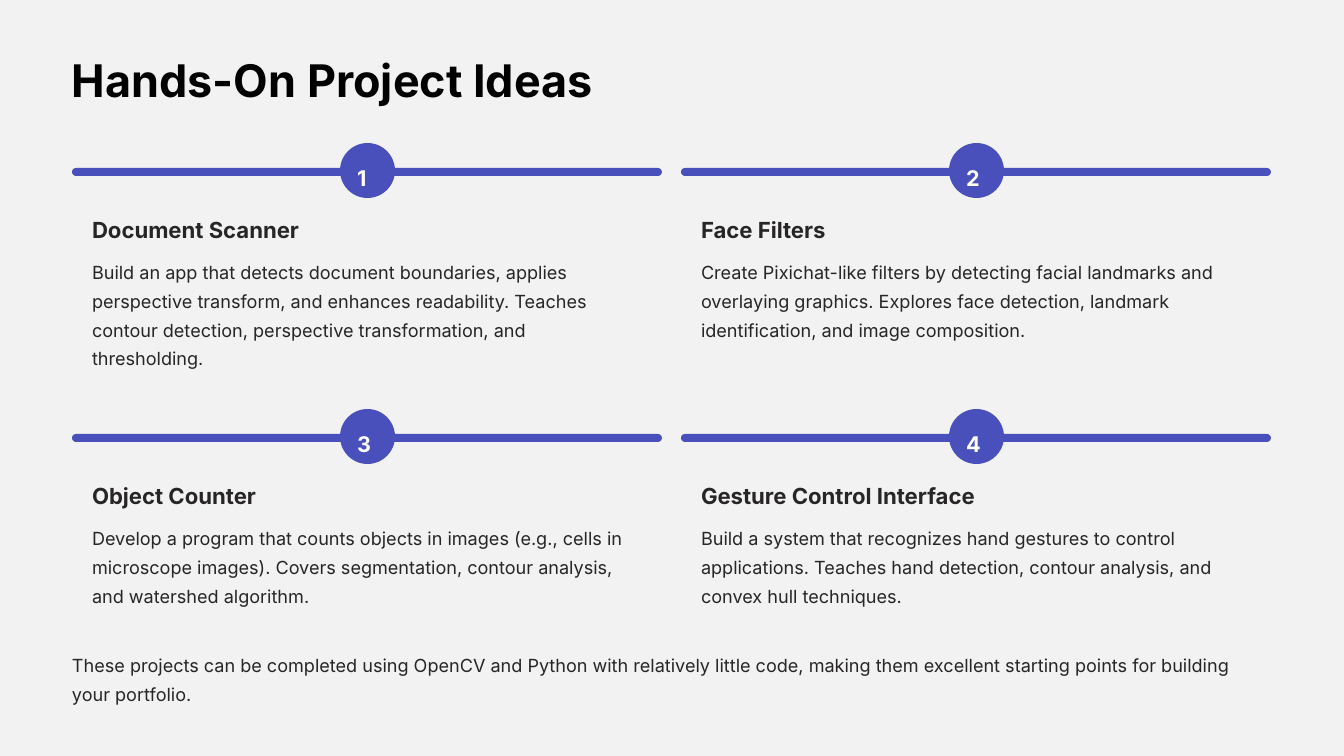
import pptx
import pptx.dml.color
import pptx.enum.shapes
import pptx.util

SHAPES = pptx.enum.shapes.MSO_SHAPE
PX = 914400 / 84

PAPER = pptx.dml.color.RGBColor(0xF2, 0xF2, 0xF2)
INDIGO = pptx.dml.color.RGBColor(0x49, 0x50, 0xBC)
BLACK = pptx.dml.color.RGBColor(0x00, 0x00, 0x00)
INK = pptx.dml.color.RGBColor(0x27, 0x25, 0x25)
WHITE = pptx.dml.color.RGBColor(0xFF, 0xFF, 0xFF)

MARGIN = 72
CARD_WIDTH, CARD_HEIGHT = 590, 221
COLUMN_PITCH, ROW_PITCH = 609, 266
FIRST_ROW = 168

PROJECTS = [
    ("Document Scanner",
     "Build an app that detects document boundaries, applies perspective "
     "transform, and enhances readability. Teaches contour detection, "
     "perspective transformation, and thresholding."),
    ("Face Filters",
     "Create Pixichat-like filters by detecting facial landmarks and "
     "overlaying graphics. Explores face detection, landmark "
     "identification, and image composition."),
    ("Object Counter",
     "Develop a program that counts objects in images (e.g., cells in "
     "microscope images). Covers segmentation, contour analysis, and "
     "watershed algorithm."),
    ("Gesture Control Interface",
     "Build a system that recognizes hand gestures to control applications. "
     "Teaches hand detection, contour analysis, and convex hull techniques."),
]
CLOSING = (
    "These projects can be completed using OpenCV and Python with relatively "
    "little code, making them excellent starting points for building your "
    "portfolio.")


def emu(*lengths):
    return [round(length * PX) for length in lengths]


def add_text(slide, box, text, size, leading, color, bold=False, wrap=False):
    frame = slide.shapes.add_textbox(*emu(*box)).text_frame
    frame.margin_left = frame.margin_right = 0
    frame.margin_top = frame.margin_bottom = 0
    frame.word_wrap = wrap
    frame.text = text
    paragraph = frame.paragraphs[0]
    paragraph.line_spacing = pptx.util.Pt(leading)
    font = paragraph.runs[0].font
    font.name = "Inter"
    font.size = pptx.util.Pt(size)
    font.bold = bold
    font.color.rgb = color


def add_body(slide, box, text):
    add_text(slide, box, text, 15.5, 24.5, INK, wrap=True)


def add_rounded(slide, box):
    """Add an indigo shape whose short ends are half circles."""
    shape = slide.shapes.add_shape(SHAPES.ROUNDED_RECTANGLE, *emu(*box))
    shape.adjustments[0] = 0.5
    shape.shadow.inherit = False
    shape.fill.solid()
    shape.fill.fore_color.rgb = INDIGO
    shape.line.fill.background()


def add_project(slide, box, number, heading, description):
    left, top, width, height = box
    badge = 55
    badge_left = left + (width - badge) // 2 + 1
    inset = 20
    body_top = 87

    add_rounded(slide, (left, top, width, 8))
    add_rounded(slide, (badge_left, top - 25, badge, badge))
    add_text(slide, (badge_left + 17, top - 12, 22, 27), str(number),
             18.5, 29.5, WHITE, bold=True)
    add_text(slide, (left + inset, top + 47, 280, 29), heading,
             19, 24, INK, bold=True)
    add_body(slide, (left + inset, top + body_top,
                     width - 2 * inset, height - body_top - inset),
             description)


def add_project_grid(slide, left, top):
    for index, (heading, description) in enumerate(PROJECTS):
        row, column = divmod(index, 2)
        box = (left + column * COLUMN_PITCH, top + row * ROW_PITCH,
               CARD_WIDTH, CARD_HEIGHT)
        add_project(slide, box, index + 1, heading, description)


def main():
    deck = pptx.Presentation()
    deck.slide_width, deck.slide_height = emu(1344, 756)
    slide = deck.slides.add_slide(deck.slide_layouts[6])
    slide.background.fill.solid()
    slide.background.fill.fore_color.rgb = PAPER

    add_text(slide, (MARGIN, 50, 526, 56), "Hands-On Project Ideas",
             38.5, 48.5, BLACK, bold=True)
    add_project_grid(slide, MARGIN, FIRST_ROW)
    add_body(slide, (MARGIN, 648, COLUMN_PITCH + CARD_WIDTH, 58), CLOSING)
    deck.save("out.pptx")


if __name__ == "__main__":
    main()
